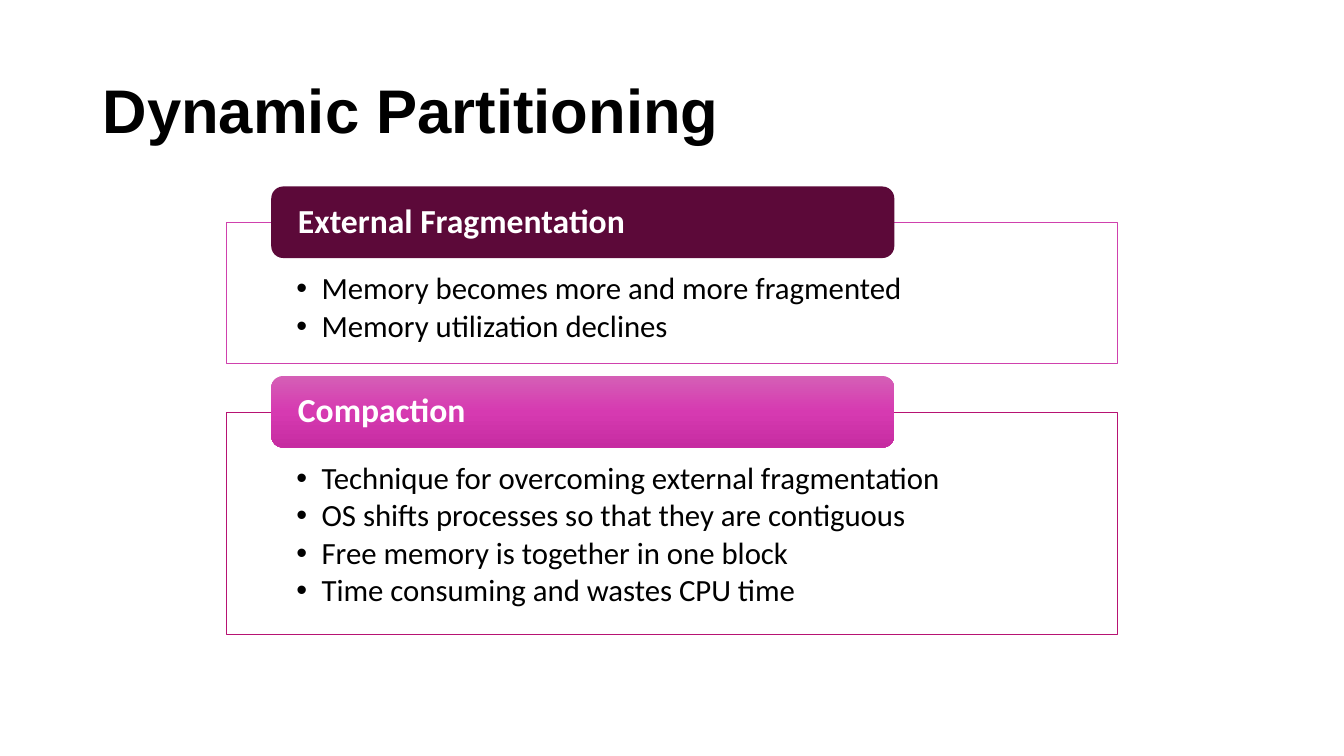
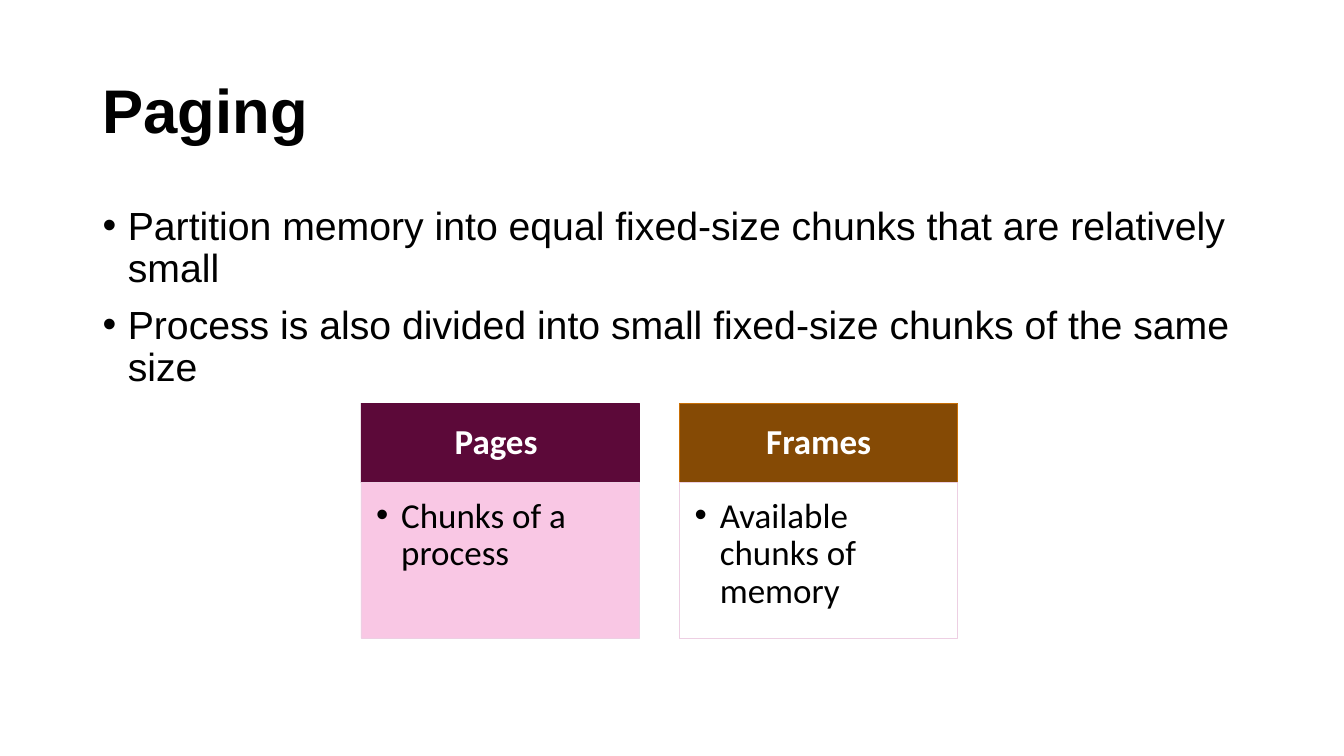
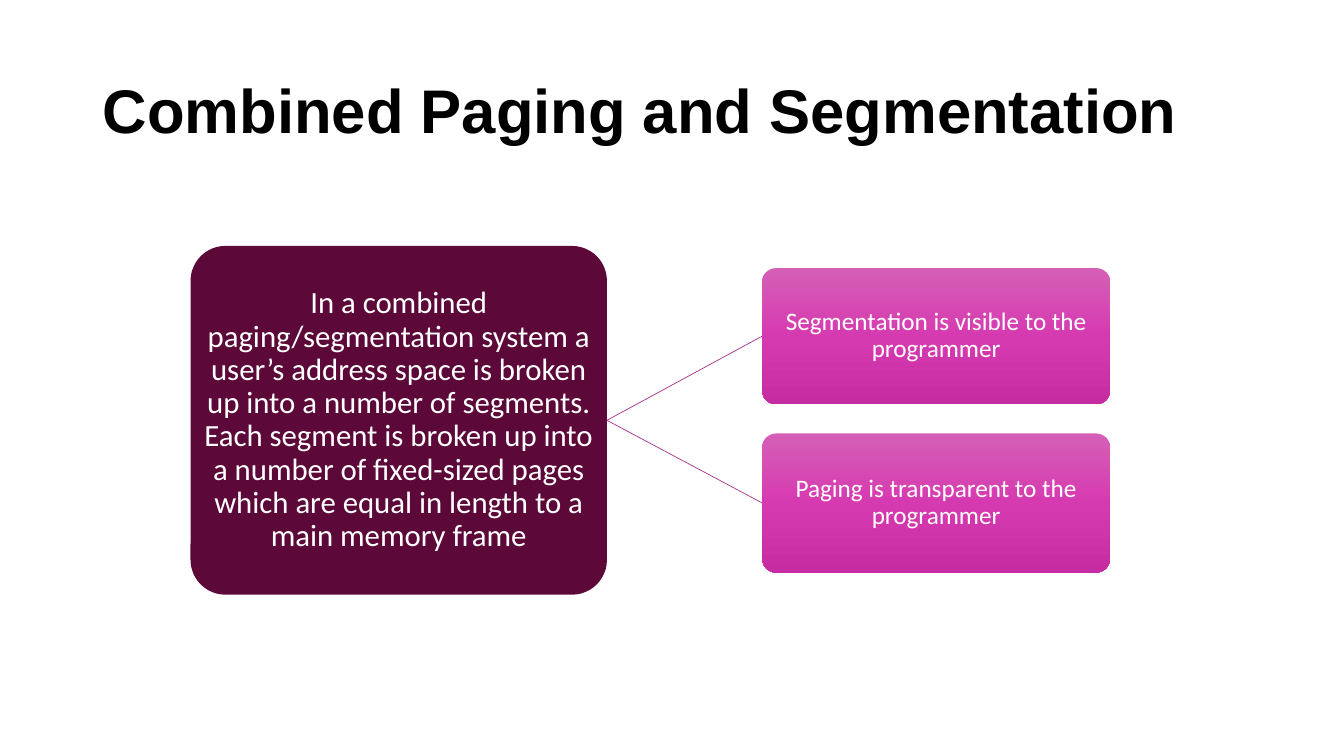
from copy import deepcopy
from dataclasses import dataclass

from lxml import etree
from pptx import Presentation, dml, util as u
from pptx.dml.color import RGBColor
from pptx.enum import shapes, text
from pptx.oxml.ns import qn


@dataclass
class Theme:
    black: str = "000000"
    white: str = "FFFFFF"
    plum: str = "5C0939"
    brown: str = "854A05"
    amber: str = "C86F07"
    blush: str = "F9C7E4"
    mist: str = "EDCFE3"
    orchid: str = "CF41AD"
    rose: str = "B71373"
    link: str = "A6348B"
    glow: tuple = ("D55FB6", "D63AB1", "C62CA1")
    head: str = "Arial"
    body: str = "Calibri"
    title: int = 44
    lead: int = 28
    cell: int = 25
    label: int = 24
    text: int = 22
    note: int = 18
    line: float = 0.5


look = Theme()
inch = u.Inches
kind = shapes.MSO_SHAPE
left, mid = text.PP_ALIGN.LEFT, text.PP_ALIGN.CENTER


def draw(page, form, area, fill, edge=None, curve=None):
    shape = page.shapes.add_shape(form, *map(inch, area))
    shape.shadow.inherit = False
    if curve is not None:
        shape.adjustments[0] = curve
    if isinstance(fill, tuple):
        shape.fill.gradient()
        shape.fill.gradient_angle = 270
        stops = shape._element.spPr.find(".//" + qn("a:gsLst"))
        stops.append(deepcopy(stops[-1]))
        for i, stop in enumerate(shape.fill.gradient_stops):
            stop.color.rgb = RGBColor.from_string(fill[i])
            stop.position = i / 2
    else:
        shape.fill.solid()
        shape.fill.fore_color.rgb = RGBColor.from_string(fill)
    if edge:
        shape.line.color.rgb = RGBColor.from_string(edge)
        shape.line.width = u.Pt(look.line)
    else:
        shape.line.fill.background()
    return shape


def write(shape, lines, size, tint, pads=(0.1, 0.05, 0.1, 0.05), face=look.body,
          bold=False, align=left, list_gap=None):
    frame = shape.text_frame
    frame.word_wrap = True
    frame.margin_left, frame.margin_top, frame.margin_right, frame.margin_bottom = map(inch, pads)
    frame.vertical_anchor = text.MSO_ANCHOR.MIDDLE if list_gap is None else text.MSO_ANCHOR.TOP
    frame.text = "\n".join(lines)
    for i, para in enumerate(frame.paragraphs):
        if list_gap is not None:
            props = para._p.get_or_add_pPr()
            props.set("marL", str(inch(0.25)))
            props.set("indent", str(inch(-0.25)))
            etree.SubElement(props, qn("a:buFont")).set("typeface", look.head)
            etree.SubElement(props, qn("a:buChar")).set("char", "•")
            if i:
                para.space_before = u.Pt(list_gap)
        para.alignment = align
        para.line_spacing = 0.9
        for run in para.runs:
            run.font.name = face
            run.font.size = u.Pt(size)
            run.font.bold = bold
            run.font.color.rgb = RGBColor.from_string(tint)


deck = Presentation()
deck.slide_width, deck.slide_height = inch(13.33), inch(7.5)

pages = []
for name in ("Dynamic Partitioning", "Paging", "Combined Paging and Segmentation"):
    page = deck.slides.add_slide(deck.slide_layouts[6])
    title = page.shapes.add_textbox(*map(inch, (0.92, 0.4, 11.5, 1.45)))
    write(title, [name], look.title, look.black, face=look.head, bold=True)
    pages.append(page)
parts, paging, combined = pages

panels = (
    ("External Fragmentation", 2.21, 1.4, look.orchid, look.plum,
     ["Memory becomes more and more fragmented", "Memory utilization declines"]),
    ("Compaction", 4.09, 2.2, look.rose, look.glow,
     ["Technique for overcoming external fragmentation",
      "OS shifts processes so that they are contiguous",
      "Free memory is together in one block",
      "Time consuming and wastes CPU time"]),
)
for name, top, high, edge, fill, lines in panels:
    panel = draw(parts, kind.RECTANGLE, (2.25, top, 8.83, high), look.white, edge)
    write(panel, lines, look.text, look.black, (0.69, 0.5, 0.69, 0.17), list_gap=3)
    label = draw(parts, kind.ROUNDED_RECTANGLE, (2.69, top - 0.36, 6.18, 0.71), fill)
    write(label, [name], look.label, look.white, (0.23, 0, 0.23, 0), bold=True)

points = paging.shapes.add_textbox(*map(inch, (0.92, 2, 11.5, 4.76)))
write(points, ["Partition memory into equal fixed-size chunks that are relatively small",
               "Process is also divided into small fixed-size chunks of the same size"],
      look.lead, look.black, face=look.head, list_gap=10)

cards = (
    ("Pages ", "Chunks of a process", look.plum, look.plum, look.blush),
    ("Frames", "Available chunks of memory", look.brown, look.amber, look.white),
)
for i, (name, line, fill, edge, pale) in enumerate(cards):
    x = 3.58 + i * 3.16
    head = draw(paging, kind.RECTANGLE, (x, 4, 2.76, 0.79), fill, edge)
    write(head, [name], look.cell, look.white, (0.19, 0.11, 0.19, 0.11), bold=True, align=mid)
    card = draw(paging, kind.RECTANGLE, (x, 4.79, 2.76, 1.54), pale, look.mist)
    write(card, [line], look.cell, look.black, (0.15, 0.15, 0.19, 0.22), list_gap=0)

root = draw(combined, kind.ROUNDED_RECTANGLE, (1.89, 2.44, 4.13, 3.46), look.plum, curve=0.1)
write(root, ["In a combined paging/segmentation system a user’s address space is broken up into "
             "a number of segments. Each segment is broken up into a number of fixed-sized pages "
             "which are equal in length to a main memory frame"],
      look.text, look.white, (0.02,) * 4, align=mid)

leaves = (
    ("Segmentation is visible to the programmer", 2.66, 1.35),
    ("Paging is transparent to the programmer", 4.3, 1.38),
)
for line, top, high in leaves:
    leaf = draw(combined, kind.ROUNDED_RECTANGLE, (7.56, top, 3.45, high), look.glow, curve=0.1)
    write(leaf, [line], look.note, look.white, (0.01,) * 4, align=mid)
    link = combined.shapes.add_connector(shapes.MSO_CONNECTOR.STRAIGHT, 0, 0, 0, 0)
    link.begin_connect(root, 3)
    link.end_connect(leaf, 1)
    link.line.color.rgb = RGBColor.from_string(look.link)
    link.line.width = u.Pt(look.line)
    etree.SubElement(link._element.spPr, qn("a:effectLst"))

deck.save("out.pptx")
